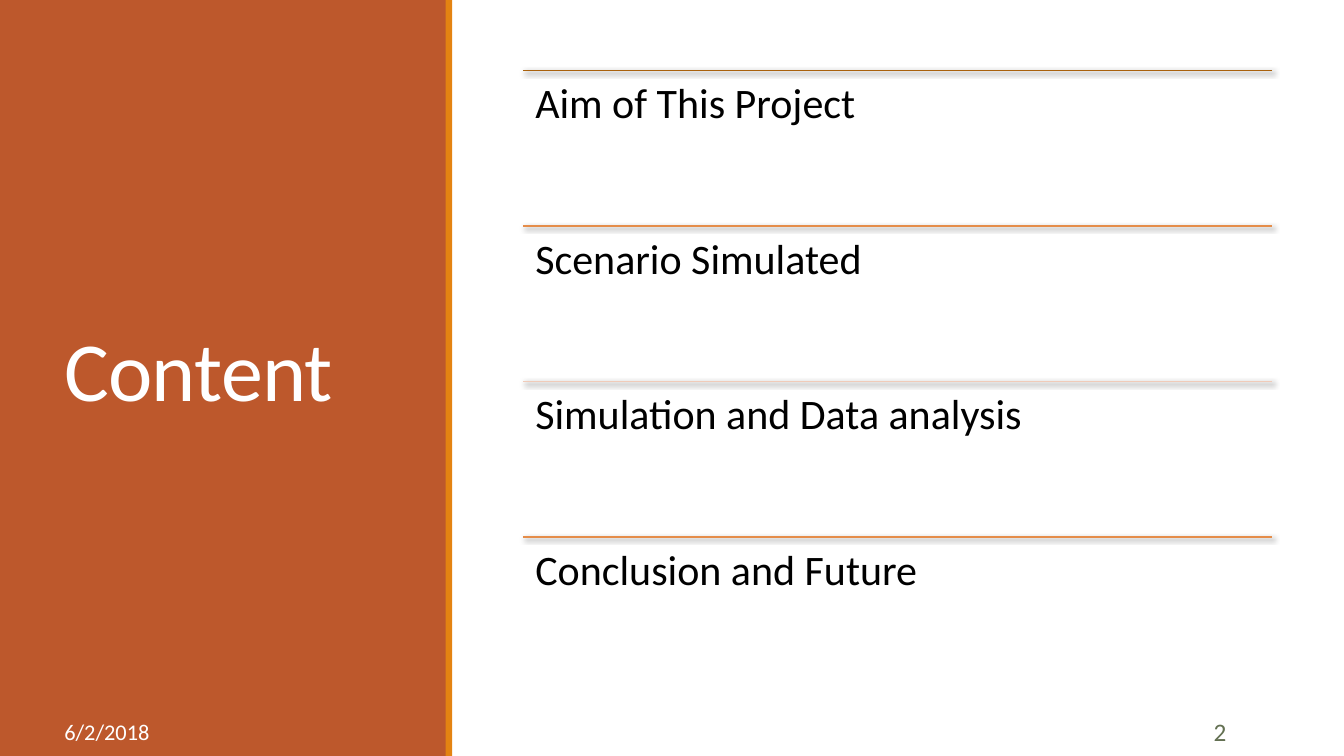
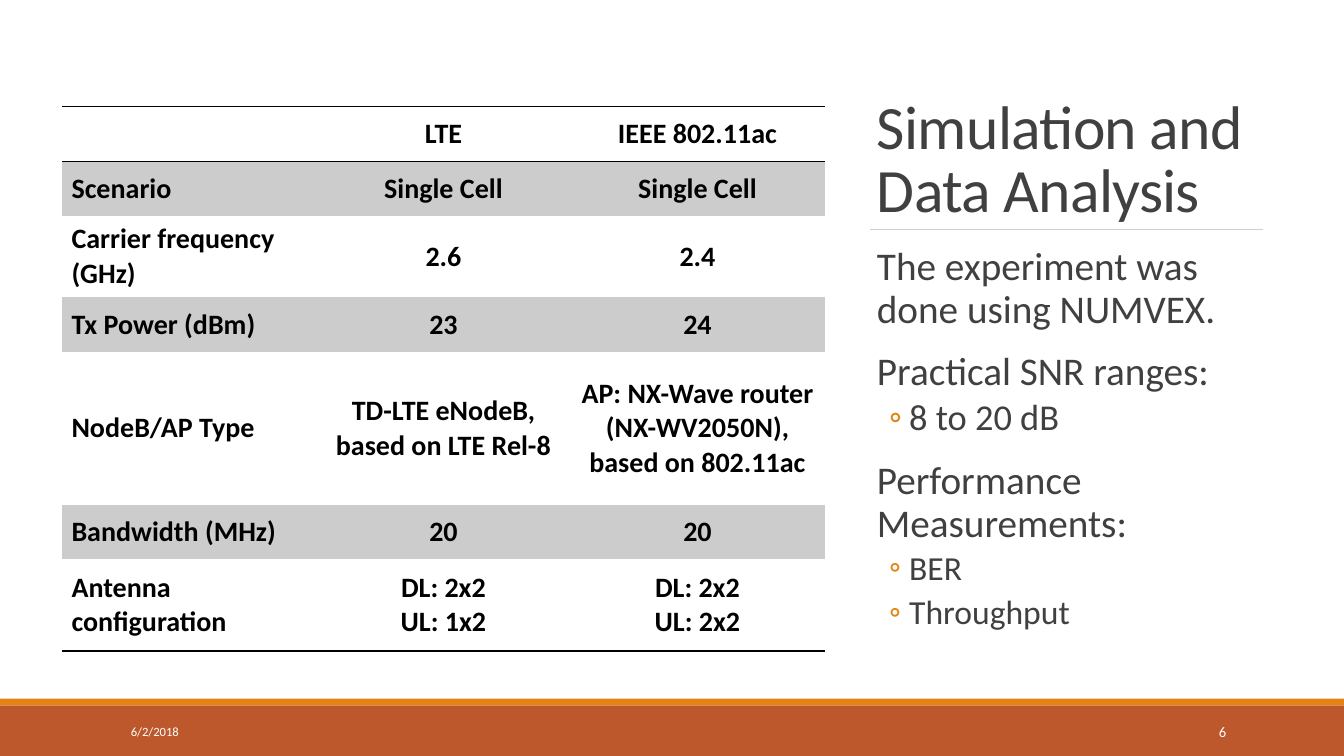
"""Build two slides: a contents page and a simulation parameter page."""
from dataclasses import dataclass

from lxml import etree
from pptx import Presentation
from pptx.dml.color import RGBColor
from pptx.enum.shapes import MSO_CONNECTOR, MSO_SHAPE
from pptx.enum.text import MSO_ANCHOR, PP_ALIGN
from pptx.oxml.ns import qn
from pptx.util import Emu, Inches, Pt

RECTANGLE, STRAIGHT = MSO_SHAPE.RECTANGLE, MSO_CONNECTOR.STRAIGHT
TOP, MIDDLE, BOTTOM = MSO_ANCHOR.TOP, MSO_ANCHOR.MIDDLE, MSO_ANCHOR.BOTTOM
LEFT, CENTER, RIGHT = PP_ALIGN.LEFT, PP_ALIGN.CENTER, PP_ALIGN.RIGHT
WIDTH, HEIGHT = Inches(13.33), Inches(7.5)
PLAIN_TABLE = "{2D5ABB26-0587-4C30-8999-92F81FD0307C}"


@dataclass(frozen=True)
class Theme:
    """Colours, font and type sizes shared by the slides."""
    font: str = "Calibri"
    rust: str = "BD582C"
    orange: str = "E48312"
    white: str = "FFFFFF"
    black: str = "000000"
    ink: str = "404040"
    rule: str = "D0D0D0"
    stripe: str = "CCCCCC"
    olive: str = "637052"
    agenda_rules: tuple = ("A9610D", "E58D4A", "F0CBB9", "E58D4A")
    cover_title: float = 60
    title: float = 44
    agenda: float = 30
    point: float = 28
    large_detail: float = 26
    detail: float = 24
    cell: float = 20


THEME = Theme()
DATE = "6/2/2018"
AGENDA = ("Aim of This Project", "Scenario Simulated",
          "Simulation and Data analysis", "Conclusion and Future")
FINDINGS = (
    ("The experiment was done using NUMVEX.", 0, THEME.point),
    ("Practical SNR ranges:", 0, THEME.point),
    ("8 to 20 dB", 1, THEME.large_detail),
    ("Performance Measurements:", 0, THEME.point),
    ("BER", 1, THEME.detail),
    ("Throughput", 1, THEME.detail),
)
PARAMETERS = (
    (7.2, ("", "LTE", "IEEE 802.11ac")),
    (7.2, ("Scenario", "Single Cell", "Single Cell")),
    (10.8, ("Carrier frequency (GHz)", "2.6", "2.4")),
    (7.2, ("Tx Power (dBm)", "23", "24")),
    (20.27, ("NodeB/AP Type", "TD-LTE eNodeB, based on LTE Rel-8",
             "AP: NX-Wave router\n(NX-WV2050N), based on 802.11ac")),
    (7.2, ("Bandwidth (MHz)", "20", "20")),
    (12.13, ("Antenna configuration", "DL: 2x2\nUL: 1x2", "DL: 2x2\nUL: 2x2")),
)


def across(share):
    """Turn a percentage of the slide's width into a length."""
    return Emu(round(WIDTH * share / 100))


def down(share):
    """Turn a percentage of the slide's height into a length."""
    return Emu(round(HEIGHT * share / 100))


def place(left, top, width, height):
    """Turn a box given in percentages into lengths."""
    return across(left), down(top), across(width), down(height)


def add_child(parent, tag, **attributes):
    """Append a drawing element with the given attributes."""
    return etree.SubElement(parent, qn(tag), attributes)


def add_band(slide, box, colour):
    """Add a plain filled rectangle."""
    band = slide.shapes.add_shape(RECTANGLE, *place(*box))
    band.shadow.inherit = False
    band.fill.solid()
    band.fill.fore_color.rgb = RGBColor.from_string(colour)
    band.line.fill.background()


def add_rule(slide, left, right, top, colour, weight, shadow=False):
    """Add a horizontal line, with a soft shadow if wanted."""
    rule = slide.shapes.add_connector(
        STRAIGHT, across(left), down(top), across(right), down(top))
    rule.line.color.rgb = RGBColor.from_string(colour)
    rule.line.width = Pt(weight)
    effects = add_child(rule._element.spPr, "a:effectLst")
    if shadow:
        cast = add_child(effects, "a:outerShdw", blurRad=str(Pt(3.5)),
                         dist=str(Pt(2)), dir="2700000", rotWithShape="0")
        shade = add_child(cast, "a:srgbClr", val=THEME.black)
        add_child(shade, "a:alpha", val="60000")


def add_run(paragraph, text, size, colour, bold=False, tracking=0):
    """Add one styled run to a paragraph."""
    run = paragraph.add_run()
    run.text = text
    run.font.name, run.font.size, run.font.bold = THEME.font, Pt(size), bold
    run.font.color.rgb = RGBColor.from_string(colour)
    if tracking:
        run.font._element.set("spc", str(round(tracking * 100)))


def add_frame(slide, box, anchor=TOP, side=0.1, edge=0.05):
    """Add a wrapping text box and return its text frame."""
    frame = slide.shapes.add_textbox(*place(*box)).text_frame
    frame.word_wrap = True
    frame.vertical_anchor = anchor
    frame.margin_left = frame.margin_right = Inches(side)
    frame.margin_top = frame.margin_bottom = Inches(edge)
    return frame


def add_title(slide, box, text, size, colour, anchor):
    """Add a tightly set slide title."""
    paragraph = add_frame(slide, box, anchor).paragraphs[0]
    paragraph.line_spacing = 0.85
    add_run(paragraph, text, size, colour, tracking=-0.5)


def add_footer(slide, date_left, date_size, number, number_size, number_colour):
    """Add the date and the right-aligned page number."""
    for text, left, width, align, size, colour in (
            (DATE, date_left, 20.25, LEFT, date_size, THEME.white),
            (number, 81.23, 10.75, RIGHT, number_size, number_colour)):
        box = left, 94.13, width, 5.33
        paragraph = add_frame(slide, box, MIDDLE).paragraphs[0]
        paragraph.alignment = align
        add_run(paragraph, text, size, colour)


def add_agenda(slide, left, top, width, step):
    """List the agenda entries, each under its own rule."""
    for row, (entry, colour) in enumerate(zip(AGENDA, THEME.agenda_rules)):
        row_top = top + row * step
        add_rule(slide, left, left + width, row_top, colour, 1, shadow=True)
        frame = add_frame(slide, (left, row_top, width, step), side=0.12, edge=0.12)
        paragraph = frame.paragraphs[0]
        paragraph.line_spacing = 0.9
        add_run(paragraph, entry, THEME.agenda, THEME.black)


def add_findings(slide, box):
    """Add the points and their bulleted details."""
    frame = add_frame(slide, box, side=0)
    for index, (text, level, size) in enumerate(FINDINGS):
        paragraph = frame.add_paragraph() if index else frame.paragraphs[0]
        paragraph.level = level
        paragraph.line_spacing = 0.9
        paragraph.space_before = Pt(2 if level else 12)
        paragraph.space_after = Pt(4 if level else 2)
        properties = paragraph._p.get_or_add_pPr()
        properties.set("marL", str(Inches(0.42 if level else 0.1)))
        properties.set("indent", str(Inches(-0.2 if level else 0)))
        if level:
            add_child(add_child(properties, "a:buClr"), "a:srgbClr", val=THEME.orange)
            add_child(properties, "a:buFont", typeface=THEME.font)
            add_child(properties, "a:buChar", char="◦")
        add_run(paragraph, text, size, THEME.ink)


def add_border(cell, side):
    """Draw a thin black border on one side of a cell."""
    line = add_child(cell._tc.get_or_add_tcPr(), side, w=str(Pt(1)))
    add_child(add_child(line, "a:solidFill"), "a:srgbClr", val=THEME.black)


def fill_cell(cell, text, align, striped):
    """Write and shade one table cell."""
    cell.vertical_anchor = MIDDLE
    cell.margin_left = cell.margin_right = Inches(0.09)
    cell.margin_top = cell.margin_bottom = Inches(0.04)
    if striped:
        cell.fill.solid()
        cell.fill.fore_color.rgb = RGBColor.from_string(THEME.stripe)
    else:
        cell.fill.background()
    for index, line in enumerate(text.split("\n") if text else ()):
        frame = cell.text_frame
        paragraph = frame.add_paragraph() if index else frame.paragraphs[0]
        paragraph.alignment = align
        add_run(paragraph, line, THEME.cell, THEME.black, bold=True)


def add_parameters(slide, left, top, width):
    """Add the table of simulation parameters."""
    height = sum(share for share, _ in PARAMETERS)
    table = slide.shapes.add_table(
        len(PARAMETERS), 3, *place(left, top, width, height)).table
    table._tbl.tblPr.find(qn("a:tableStyleId")).text = PLAIN_TABLE
    last = len(PARAMETERS) - 1
    for row, (share, texts) in enumerate(PARAMETERS):
        table.rows[row].height = down(share)
        for column, text in enumerate(texts):
            cell = table.cell(row, column)
            if row == 0:
                add_border(cell, "a:lnT")
            if row in (0, last):
                add_border(cell, "a:lnB")
            fill_cell(cell, text, CENTER if column else LEFT, row % 2 == 1)


def build_contents(slide):
    """Lay out the contents slide."""
    add_band(slide, (0, 0, 33.2, 100), THEME.rust)
    add_band(slide, (33.15, 0, 0.5, 100), THEME.orange)
    add_title(slide, (4.05, 7.6, 25.3, 84.13), "Content",
              THEME.cover_title, THEME.white, MIDDLE)
    add_agenda(slide, 38.93, 9.33, 55.73, 20.57)
    add_footer(slide, 4.05, 16, "2", 18, THEME.olive)


def build_simulation(slide):
    """Lay out the simulation slide."""
    add_rule(slide, 64.74, 94, 30.4, THEME.rule, 0.5)
    add_band(slide, (0, 92.4, 100, 0.93), THEME.orange)
    add_band(slide, (0, 93.33, 100, 6.67), THEME.rust)
    add_title(slide, (64.5, 9.2, 30.3, 21.2), "Simulation and Data Analysis",
              THEME.title, THEME.ink, BOTTOM)
    add_findings(slide, (64.5, 32, 29.25, 53.47))
    add_footer(slide, 9, 9, "6", 10.5, THEME.white)
    add_parameters(slide, 4.65, 14.13, 56.7)


def main():
    """Build and save the presentation."""
    deck = Presentation()
    deck.slide_width, deck.slide_height = WIDTH, HEIGHT
    for build in (build_contents, build_simulation):
        build(deck.slides.add_slide(deck.slide_layouts[6]))
    deck.save("out.pptx")


if __name__ == "__main__":
    main()
